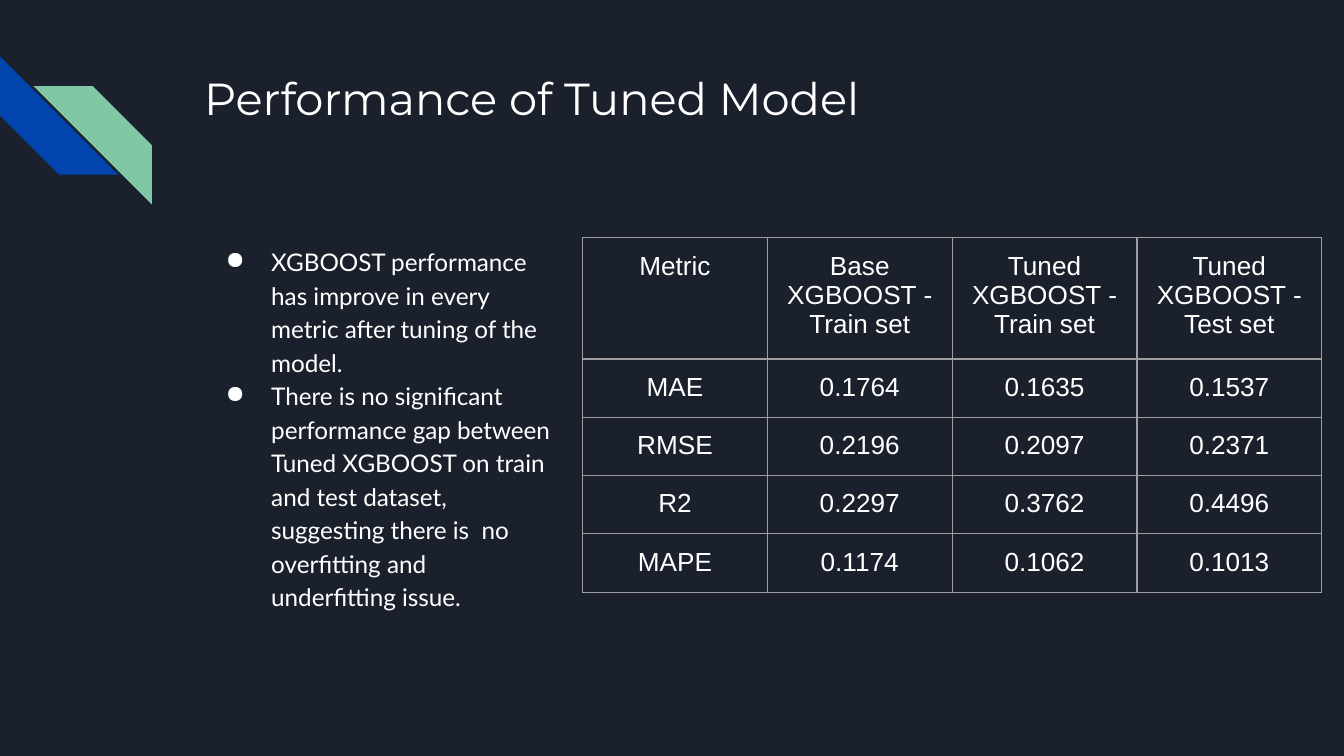
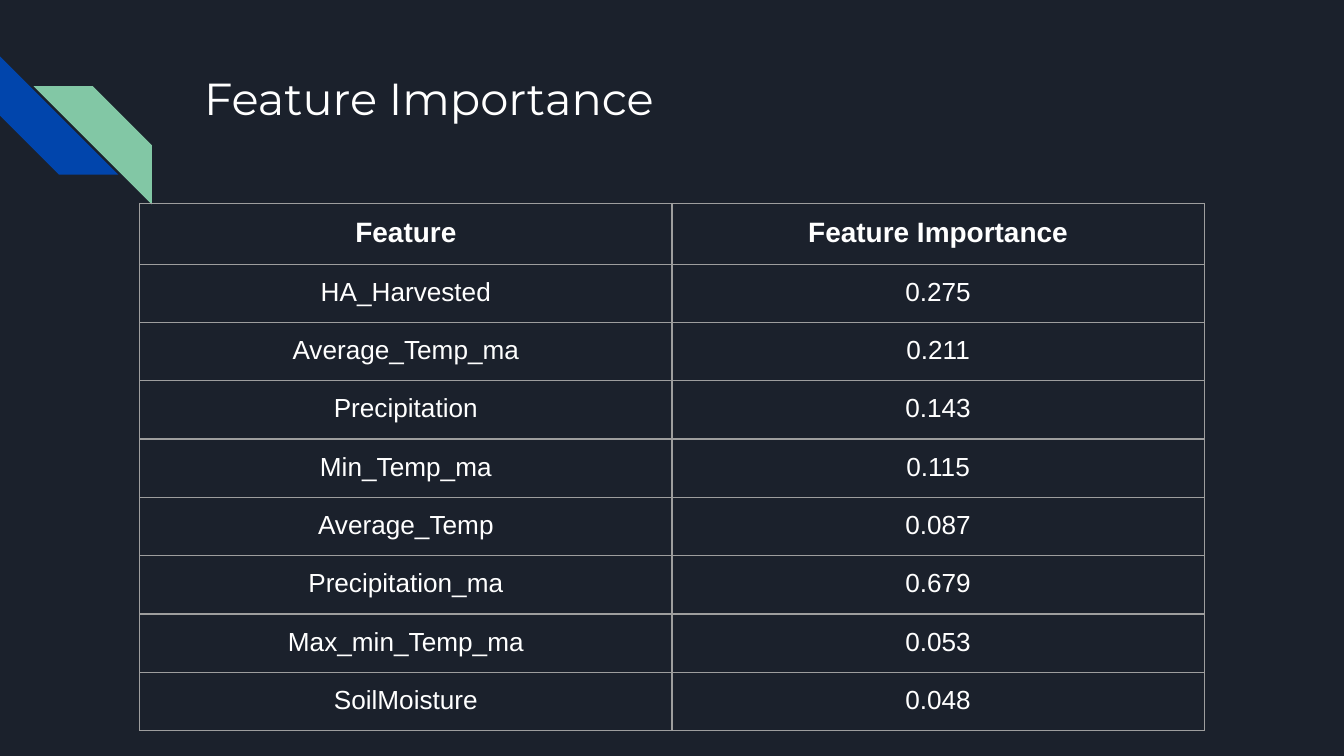
"""Build two dark slides reporting model performance and feature importance."""
from dataclasses import dataclass

from lxml import etree
from pptx import Presentation
from pptx.dml.color import RGBColor
from pptx.enum.shapes import MSO_SHAPE
from pptx.enum.text import MSO_ANCHOR, PP_ALIGN
from pptx.oxml.ns import qn
from pptx.slide import Slide
from pptx.text.text import TextFrame
from pptx.util import Inches, Pt

STRIPE = MSO_SHAPE.DIAGONAL_STRIPE
CENTER = PP_ALIGN.CENTER
TOP = MSO_ANCHOR.TOP

NAVY = RGBColor(0x1B, 0x21, 0x2C)
BLUE = RGBColor(0x01, 0x45, 0xAC)
GREEN = RGBColor(0x82, 0xC7, 0xA5)
WHITE = RGBColor(0xFF, 0xFF, 0xFF)
GREY = RGBColor(0x9E, 0x9E, 0x9E)

WIDTH = Inches(10)
HEIGHT = WIDTH * 9 // 16
INSET = Inches(0.1)
BULLET_INDENT = Inches(0.5)
BULLET_HANG = Inches(0.34)
BORDER = Pt(0.75)


def across(percent: float) -> int:
    """Turn a percentage of the slide width into a length."""
    return round(WIDTH * percent / 100)


def down(percent: float) -> int:
    """Turn a percentage of the slide height into a length."""
    return round(HEIGHT * percent / 100)


ROW_HEIGHT = down(7.41)


@dataclass(frozen=True)
class Box:
    """A rectangle in percentages of the slide width and height."""

    left: float
    top: float
    width: float
    height: float

    def lengths(self) -> tuple[int, int, int, int]:
        """Return the position and size as lengths."""
        return across(self.left), down(self.top), across(self.width), down(self.height)


@dataclass(frozen=True)
class Stripe:
    """A diagonal stripe of the corner ornament."""

    box: Box
    color: RGBColor
    rotation: float = 0
    flipped: bool = False


@dataclass(frozen=True)
class DataTable:
    """A bordered table whose first row is its header."""

    box: Box
    rows: list[tuple[str, ...]]
    header_size: int = 14
    header_bold: bool = False


TITLE_BOX = Box(14.2, 7.64, 77, 17.78)
FINDINGS_BOX = Box(14.2, 30.4, 27.7, 56.53)
STRIPES = [
    Stripe(Box(0, 7.47, 8.8, 15.64), BLUE, rotation=270),
    Stripe(Box(2.5, 11.4, 8.8, 15.64), GREEN, flipped=True),
]
FINDINGS = [
    "XGBOOST performance has improve in every metric after tuning of the model.",
    "There is no significant performance gap between Tuned XGBOOST on train and "
    "test dataset, suggesting there is  no overfitting and underfitting issue.",
]
METRICS = DataTable(
    Box(43.35, 31.47, 55, 46.76),
    [
        ("Metric", "Base XGBOOST - Train set", "Tuned XGBOOST - Train set", "Tuned XGBOOST - Test set"),
        ("MAE", "0.1764", "0.1635", "0.1537"),
        ("RMSE", "0.2196", "0.2097", "0.2371"),
        ("R2", "0.2297", "0.3762", "0.4496"),
        ("MAPE", "0.1174", "0.1062", "0.1013"),
    ],
)
FEATURES = DataTable(
    Box(10.4, 26.93, 79.2, 69.69),
    [
        ("Feature", "Feature Importance"),
        ("HA_Harvested", "0.275"),
        ("Average_Temp_ma", "0.211"),
        ("Precipitation", "0.143"),
        ("Min_Temp_ma", "0.115"),
        ("Average_Temp", "0.087"),
        ("Precipitation_ma", "0.679"),
        ("Max_min_Temp_ma", "0.053"),
        ("SoilMoisture", "0.048"),
    ],
    header_size=15,
    header_bold=True,
)


def style_font(font, name: str, size: int, bold: bool = False) -> None:
    """Apply the white text style to a font."""
    font.name, font.size, font.bold = name, Pt(size), bold
    font.color.rgb = WHITE


def add_stripe(slide: Slide, stripe: Stripe) -> None:
    """Draw one stripe of the corner ornament."""
    shape = slide.shapes.add_shape(STRIPE, *stripe.box.lengths())
    shape.shadow.inherit = False
    shape.fill.solid()
    shape.fill.fore_color.rgb = stripe.color
    shape.line.fill.background()
    shape.rotation = stripe.rotation
    if stripe.flipped:
        shape.element.spPr.find(qn("a:xfrm")).set("flipH", "1")


def add_text(slide: Slide, box: Box, lines: list[str], name: str, size: int) -> TextFrame:
    """Add a wrapping text box with one paragraph a line."""
    frame = slide.shapes.add_textbox(*box.lengths()).text_frame
    frame.word_wrap = True
    frame.vertical_anchor = TOP
    frame.margin_left = frame.margin_right = frame.margin_top = frame.margin_bottom = INSET
    frame.text = "\n".join(lines)
    for paragraph in frame.paragraphs:
        style_font(paragraph.font, name, size)
    return frame


def add_bullets(frame: TextFrame) -> None:
    """Give every paragraph a hanging white bullet."""
    for paragraph in frame.paragraphs:
        paragraph.line_spacing = 1.15
        properties = paragraph._p.get_or_add_pPr()
        properties.set("marL", str(BULLET_INDENT))
        properties.set("indent", str(-BULLET_HANG))
        color = etree.Element(qn("a:buClr"))
        etree.SubElement(color, qn("a:srgbClr"), val=str(WHITE))
        bullet = etree.Element(qn("a:buChar"), char="●")
        spacing = properties.find(qn("a:lnSpc"))
        spacing.addnext(color)
        color.addnext(bullet)


def add_borders(cell) -> None:
    """Draw a thin grey line on each side of a cell."""
    properties = cell._tc.get_or_add_tcPr()
    for side in ("lnL", "lnR", "lnT", "lnB"):
        line = etree.SubElement(properties, qn(f"a:{side}"), w=str(BORDER))
        fill = etree.SubElement(line, qn("a:solidFill"))
        etree.SubElement(fill, qn("a:srgbClr"), val=str(GREY))


def add_data_table(slide: Slide, data: DataTable) -> None:
    """Add a centred table with transparent cells."""
    frame = slide.shapes.add_table(len(data.rows), len(data.rows[0]), *data.box.lengths())
    table = frame.table
    table.first_row = table.horz_banding = False
    for row_index, values in enumerate(data.rows):
        table.rows[row_index].height = ROW_HEIGHT
        header = row_index == 0
        for column_index, value in enumerate(values):
            cell = table.cell(row_index, column_index)
            cell.text = value
            cell.margin_left = cell.margin_right = cell.margin_top = cell.margin_bottom = INSET
            add_borders(cell)
            cell.fill.background()
            paragraph = cell.text_frame.paragraphs[0]
            paragraph.alignment = CENTER
            style_font(paragraph.font, "Arial", data.header_size if header else 14, header and data.header_bold)
    frame.height = down(data.box.height)


def add_base_slide(presentation, title: str) -> Slide:
    """Add a dark slide with the corner ornament and a title."""
    slide = presentation.slides.add_slide(presentation.slide_layouts[6])
    slide.background.fill.solid()
    slide.background.fill.fore_color.rgb = NAVY
    for stripe in STRIPES:
        add_stripe(slide, stripe)
    add_text(slide, TITLE_BOX, [title], "Montserrat", 24)
    return slide


def main() -> None:
    """Build and save the presentation."""
    presentation = Presentation()
    presentation.slide_width, presentation.slide_height = WIDTH, HEIGHT

    performance = add_base_slide(presentation, "Performance of Tuned Model")
    add_bullets(add_text(performance, FINDINGS_BOX, FINDINGS, "Lato", 13))
    add_data_table(performance, METRICS)

    importance = add_base_slide(presentation, "Feature Importance")
    add_data_table(importance, FEATURES)

    presentation.save("out.pptx")


if __name__ == "__main__":
    main()
